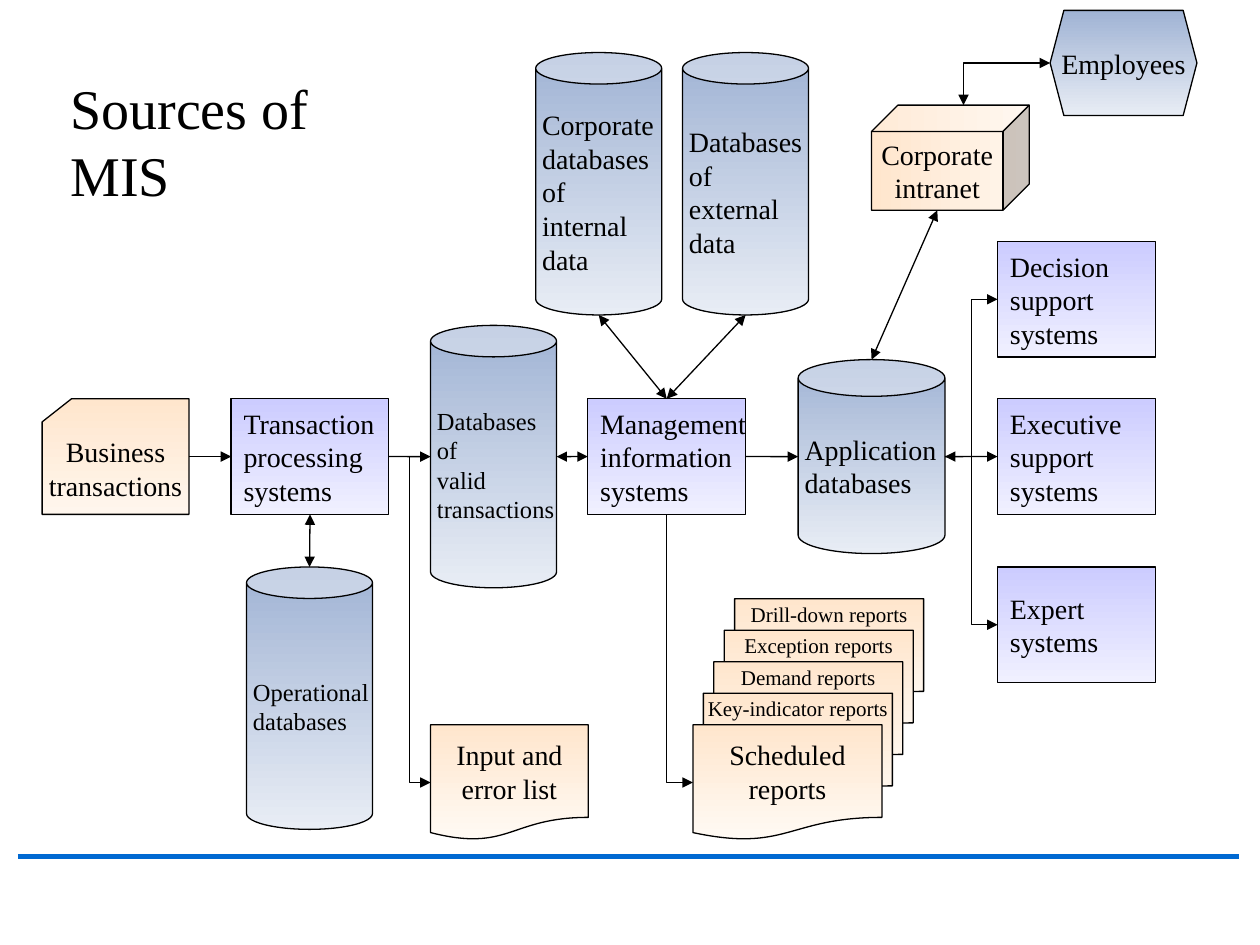
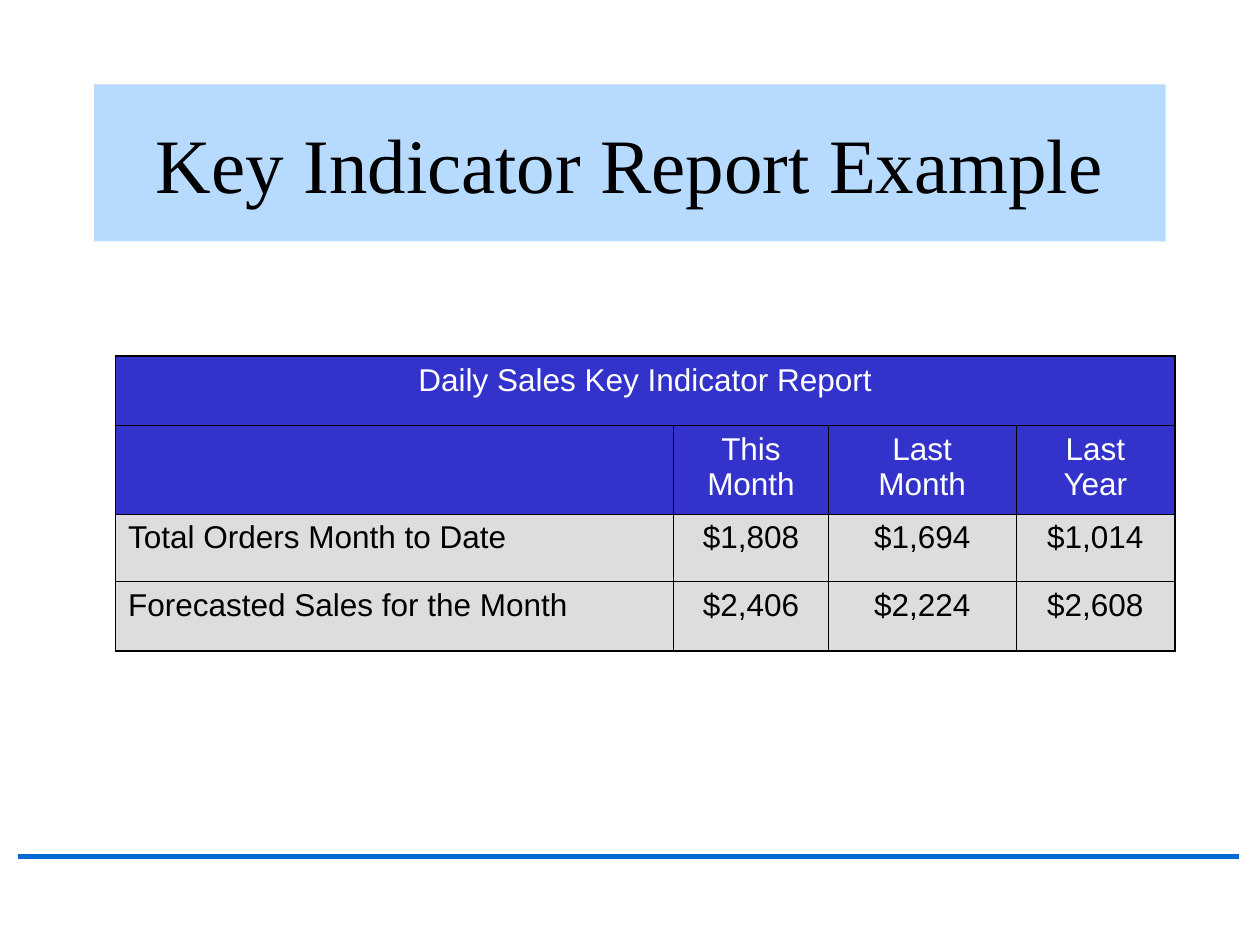
import dataclasses

import lxml.etree
import pptx
import pptx.dml.color
import pptx.enum.shapes
import pptx.enum.text
import pptx.oxml.ns
import pptx.util

Cm, Pt = pptx.util.Cm, pptx.util.Pt
Shape = pptx.enum.shapes.MSO_SHAPE
Connector = pptx.enum.shapes.MSO_CONNECTOR
Align = pptx.enum.text.PP_ALIGN
Anchor = pptx.enum.text.MSO_ANCHOR
rgb = pptx.dml.color.RGBColor.from_string
qn = pptx.oxml.ns.qn


@dataclasses.dataclass(frozen=True)
class Theme:
    serif: str = "Times New Roman"
    sans: str = "Arial"
    ink: str = "000000"
    paper: str = "FFFFFF"
    rule: str = "0069D2"
    title_band: str = "B7DBFF"
    table_head: str = "3333CC"
    table_body: str = "DDDDDD"
    steel: tuple = ("A0B3D4", "E8EDF5")
    lilac: tuple = ("CCCCFF", "F0F0FF")
    peach: tuple = ("FFE6CD", "FFF6ED")
    pale_peach: tuple = ("FFE6CD", "FFFAF4")
    diagram_title: int = 32
    title: int = 44
    label: int = 16
    small_label: int = 14
    report_label: int = 12
    table_text: int = 18
    outline: float = 0.75
    rule_width: float = 3
    inner_border: float = 0.45
    outer_border: float = 1.08


THEME = Theme()


@dataclasses.dataclass(frozen=True)
class Kind:
    shape: int
    width: float
    height: float
    gradient: tuple
    size: int = THEME.label
    align: int = Align.CENTER
    anchor: int = Anchor.MIDDLE
    left_inset: float = 0.25
    top_inset: float = 0.13
    angle: int = 270
    adjust: float = None


STORE = Kind(Shape.CAN, 2.54, 5.29, THEME.steel, align=Align.LEFT, left_inset=0.13)
REPORT = Kind(Shape.FLOWCHART_DOCUMENT, 3.81, 2.33, THEME.pale_peach)
KINDS = {
    "store": STORE,
    "small store": dataclasses.replace(STORE, size=THEME.small_label),
    "short store": dataclasses.replace(STORE, width=2.96, height=3.91),
    "system": Kind(Shape.RECTANGLE, 3.18, 2.33, THEME.lilac, align=Align.LEFT),
    "card": Kind(Shape.FLOWCHART_CARD, 2.96, 2.33, THEME.peach),
    "list": dataclasses.replace(REPORT, width=3.18),
    "report": REPORT,
    "back report": dataclasses.replace(
        REPORT, size=THEME.report_label, anchor=Anchor.TOP, top_inset=0.05),
    "people": Kind(Shape.HEXAGON, 2.96, 2.12, THEME.steel, adjust=0.131),
    "network": Kind(Shape.CUBE, 3.18, 2.12, THEME.peach, angle=0, adjust=0.25),
}

# Rows and columns that several boxes share, in centimetres.
MAIN_ROW, LOWER_ROW, REPORT_ROW = 8.04, 11.43, 14.61
LIST_COLUMN, SUPPORT_COLUMN, REPORT_COLUMN = 8.68, 20.11, 13.97
REPORT_STEP = (0.21, 0.635)
BACK_REPORTS = ["Drill-down reports", "Exception reports", "Demand reports",
                "Key-indicator reports"]

# name: (kind, left, top, paragraphs)
BOXES = {
    "internal": ("store", 10.8, 1.06, ["Corporate", "databases", "of\ninternal\ndata"]),
    "external": ("store", 13.76, 1.06, ["Databases\nof\nexternal\ndata"]),
    "valid": ("small store", LIST_COLUMN, 6.56, ["Databases\nof\nvalid\ntransactions"]),
    "operational": ("small store", 4.97, LOWER_ROW, ["Operational\ndatabases"]),
    "processing": ("system", 4.66, MAIN_ROW, ["Transaction\nprocessing\nsystems"]),
    "management": ("system", 11.85, MAIN_ROW, ["Management\ninformation\nsystems"]),
    "decision": ("system", SUPPORT_COLUMN, 4.87, ["Decision\nsupport\nsystems"]),
    "executive": ("system", SUPPORT_COLUMN, MAIN_ROW, ["Executive\nsupport\nsystems"]),
    "expert": ("system", SUPPORT_COLUMN, LOWER_ROW, ["Expert\nsystems"]),
    "business": ("card", 0.85, MAIN_ROW, ["Business\ntransactions"]),
    "errors": ("list", LIST_COLUMN, REPORT_ROW, ["Input and\nerror list"]),
    **{name: ("back report", REPORT_COLUMN + back * REPORT_STEP[0],
              REPORT_ROW - back * REPORT_STEP[1], [name])
       for back, name in zip(range(len(BACK_REPORTS), 0, -1), BACK_REPORTS)},
    "scheduled": ("report", REPORT_COLUMN, REPORT_ROW, ["Scheduled\nreports"]),
    "employees": ("people", 21.17, 0.21, ["Employees"]),
    "intranet": ("network", 17.57, 2.12, ["Corporate\nintranet"]),
    "application": ("short store", 16.09, 7.25, ["Application", "databases"]),
}

# (route, from, side, to, side, arrowheads)
LINKS = [
    ("straight", "business", "right", "processing", "left", "end"),
    ("straight", "processing", "right", "valid", "left", "end"),
    ("straight", "valid", "right", "management", "left", "both"),
    ("straight", "management", "right", "application", "left", "end"),
    ("straight", "application", "right", "executive", "left", "end"),
    ("elbow", "application", "right", "decision", "left", "end"),
    ("elbow", "application", "right", "expert", "left", "both"),
    ("corner", "scheduled", "left", "management", "bottom", "start"),
    ("straight", "operational", "top", "processing", "bottom", "both"),
    ("elbow", "processing", "right", "errors", "left", "end"),
    ("straight", "management", "top", "internal", "bottom", "both"),
    ("straight", "management", "top", "external", "bottom", "both"),
    ("straight", "application", "top", "intranet", "bottom", "both"),
    ("corner", "employees", "left", "intranet", "top", "both"),
]
HEADS = {"start": ["headEnd"], "end": ["tailEnd"], "both": ["headEnd", "tailEnd"]}

TABLE_ROWS = [
    ["Daily Sales Key Indicator Report", "", "", ""],
    ["", "This\nMonth", "Last\nMonth", "Last\nYear"],
    ["Total Orders Month to Date", "$1,808", "$1,694", "$1,014"],
    ["Forecasted Sales for the Month", "$2,406", "$2,224", "$2,608"],
]
HEAD_ROWS = 2
COLUMN_WIDTHS = [11.25, 3.12, 3.78, 3.2]
ROW_HEIGHTS = [1.4, 1.78, 1.37, 1.4]


def write(frame, paragraphs, size, align=Align.LEFT, font=THEME.serif,
          color=THEME.ink, before=0):
    """Fill a text frame; a newline inside a paragraph is a line break."""
    for number, text in enumerate(paragraphs):
        para = frame.add_paragraph() if number else frame.paragraphs[0]
        para.alignment = align
        para.space_before = Pt(before)
        for index, line in enumerate(text.split("\n")):
            if index:
                para.add_line_break()
            span = para.add_run()
            span.text = line
            span.font.name = font
            span.font.size = Pt(size)
            span.font.color.rgb = rgb(color)


def add_line(page, start, end, color, width, route="straight", heads=()):
    style = Connector.STRAIGHT if route == "straight" else Connector.ELBOW
    line = page.shapes.add_connector(style, *map(Cm, (*start, *end)))
    line.line.color.rgb = rgb(color)
    line.line.width = Pt(width)
    properties = line._element.spPr
    if route == "corner":
        properties.find(qn("a:prstGeom")).set("prst", "bentConnector2")
    for head in heads:
        lxml.etree.SubElement(properties.find(qn("a:ln")), qn("a:" + head), type="triangle")
    lxml.etree.SubElement(properties, qn("a:effectLst"))


def start_page(deck):
    page = deck.slides.add_slide(deck.slide_layouts[6])
    add_line(page, (0.36, 17.27), (24.97, 17.27), THEME.rule, THEME.rule_width)
    return page


def add_box(page, kind_name, left, top, paragraphs):
    kind = KINDS[kind_name]
    box = page.shapes.add_shape(kind.shape, *map(Cm, (left, top, kind.width, kind.height)))
    box.shadow.inherit = False
    if kind.adjust:
        box.adjustments[0] = kind.adjust
    box.fill.gradient()
    box.fill.gradient_angle = kind.angle
    for stop, color in zip(box.fill.gradient_stops, kind.gradient):
        stop.color.rgb = rgb(color)
    box.line.color.rgb = rgb(THEME.ink)
    box.line.width = Pt(THEME.outline)
    frame = box.text_frame
    frame.word_wrap = False
    frame.vertical_anchor = kind.anchor
    frame.margin_left, frame.margin_top = Cm(kind.left_inset), Cm(kind.top_inset)
    write(frame, paragraphs, kind.size, kind.align)


def edge_point(name, side):
    """Middle of a box's side; on a cube, of its front or back face."""
    kind_name, left, top, _ = BOXES[name]
    kind = KINDS[kind_name]
    depth = kind.height * kind.adjust if kind_name == "network" else 0
    center, middle = left + kind.width / 2, top + kind.height / 2
    return {
        "left": (left, middle),
        "right": (left + kind.width, middle),
        "top": (center + depth / 2, top),
        "bottom": (center - depth / 2, top + kind.height),
    }[side]


def add_sources_page(deck):
    page = start_page(deck)
    for box in BOXES.values():
        add_box(page, *box)
    for route, source, source_side, target, target_side, heads in LINKS:
        add_line(page, edge_point(source, source_side), edge_point(target, target_side),
                 THEME.ink, THEME.outline, route, HEADS[heads])
    title = page.shapes.add_textbox(Cm(1.17), Cm(1.35), Cm(7.59), Cm(1.63))
    title.text_frame.word_wrap = False
    write(title.text_frame, ["Sources of MIS"], THEME.diagram_title)


def set_borders(cell, widths):
    """Draw the left, right, top and bottom borders, in that order."""
    properties = cell._tc.get_or_add_tcPr()
    for index, (side, width) in enumerate(zip("LRTB", widths)):
        border = lxml.etree.Element(qn("a:ln" + side), w=str(Pt(width)))
        fill = lxml.etree.SubElement(border, qn("a:solidFill"))
        lxml.etree.SubElement(fill, qn("a:srgbClr"), val=THEME.ink)
        properties.insert(index, border)


def add_indicator_table(page):
    rows, columns = len(ROW_HEIGHTS), len(COLUMN_WIDTHS)
    table = page.shapes.add_table(rows, columns, Cm(2.33), Cm(7.18), Cm(sum(COLUMN_WIDTHS)),
                                  Cm(sum(ROW_HEIGHTS))).table
    table.first_row = table.horz_banding = False
    for column, width in zip(table.columns, COLUMN_WIDTHS):
        column.width = Cm(width)
    for row, height in zip(table.rows, ROW_HEIGHTS):
        row.height = Cm(height)
    table.cell(0, 0).merge(table.cell(0, columns - 1))
    for r, texts in enumerate(TABLE_ROWS):
        head = r < HEAD_ROWS
        for c, text in enumerate(texts):
            cell = table.cell(r, c)
            if cell.is_spanned:
                continue
            cell.fill.solid()
            cell.fill.fore_color.rgb = rgb(THEME.table_head if head else THEME.table_body)
            outer = (c == 0, c == columns - 1 or cell.is_merge_origin, r == 0, r == rows - 1)
            set_borders(cell, [THEME.outer_border if edge else THEME.inner_border
                               for edge in outer])
            if text:
                write(cell.text_frame, [text], THEME.table_text,
                      Align.CENTER if head or c else Align.LEFT, THEME.sans,
                      THEME.paper if head else THEME.ink, before=4.5)


def add_indicator_page(deck):
    page = start_page(deck)
    band = page.shapes.add_shape(Shape.RECTANGLE, Cm(1.9), Cm(1.7), Cm(21.6), Cm(3.17))
    band.shadow.inherit = False
    band.fill.solid()
    band.fill.fore_color.rgb = rgb(THEME.title_band)
    band.line.fill.background()
    band.text_frame.vertical_anchor = Anchor.MIDDLE
    write(band.text_frame, ["Key Indicator Report Example"], THEME.title, Align.CENTER)
    add_indicator_table(page)


def main():
    deck = pptx.Presentation()
    deck.slide_width, deck.slide_height = Cm(25.4), Cm(19.05)
    add_sources_page(deck)
    add_indicator_page(deck)
    deck.save("out.pptx")


if __name__ == "__main__":
    main()
